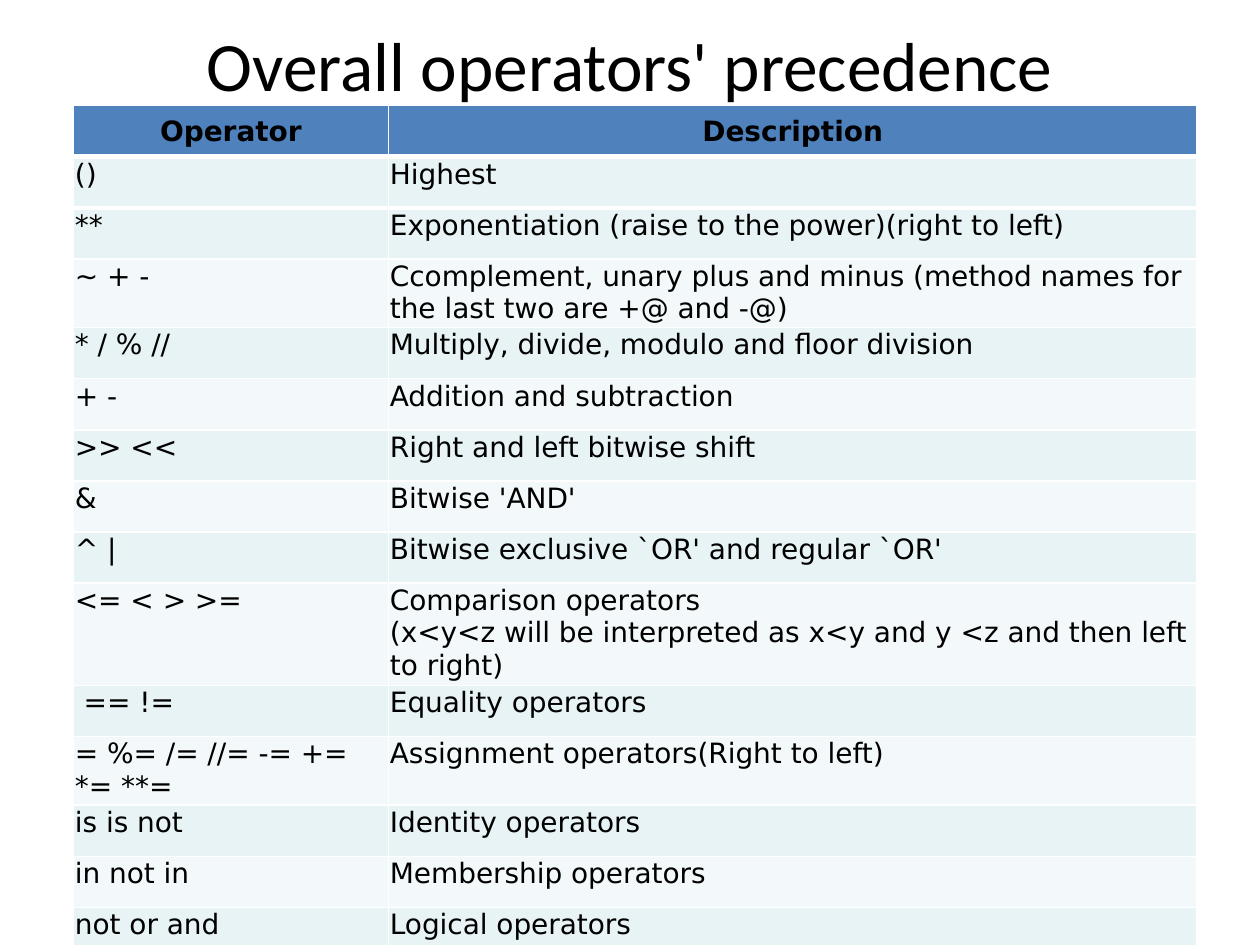
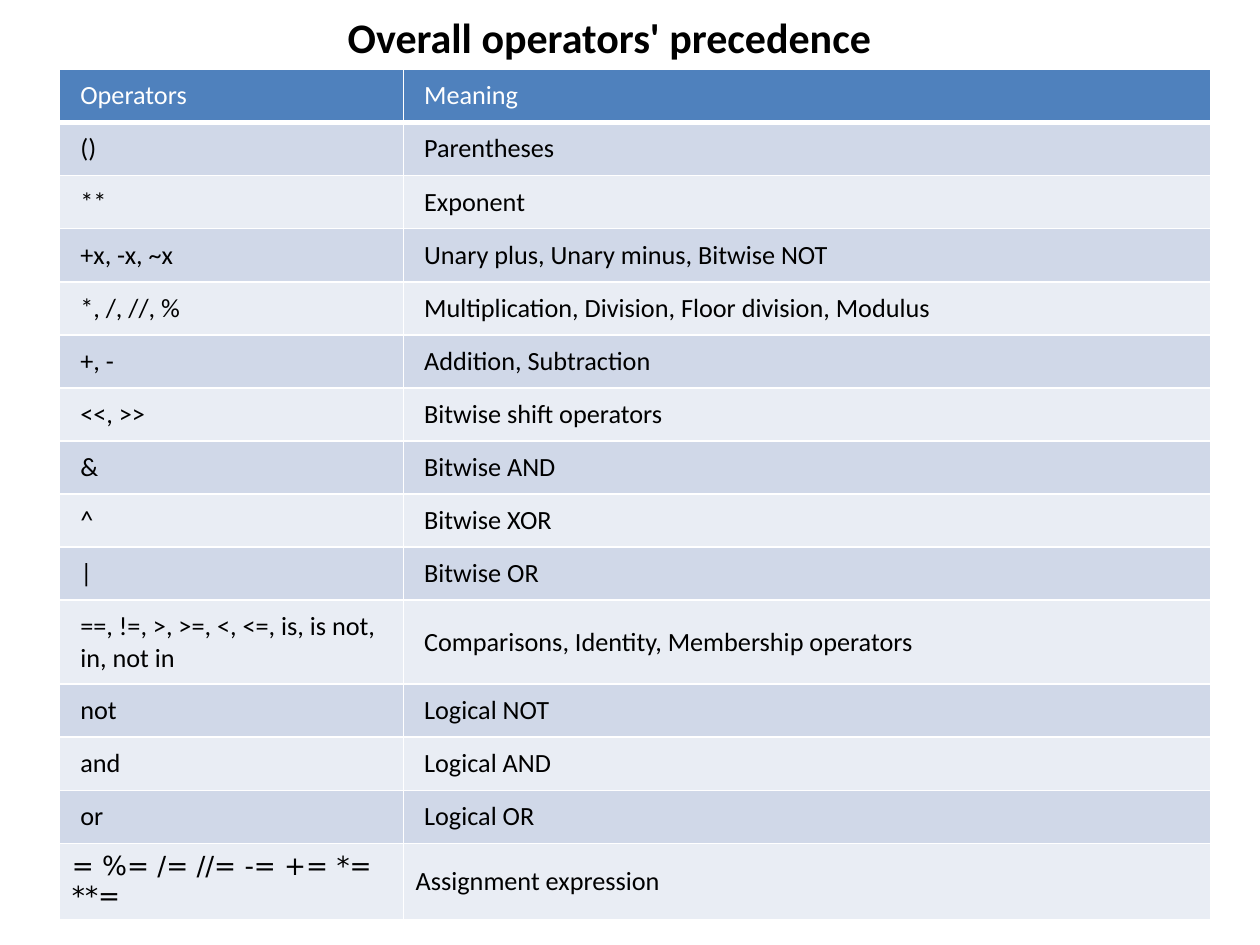
from dataclasses import dataclass, replace

from lxml.etree import SubElement
from pptx import Presentation
from pptx.dml.color import RGBColor
from pptx.enum.text import MSO_ANCHOR as Anchor, PP_ALIGN as Align
from pptx.oxml.ns import qn
from pptx.slide import Slide
from pptx.table import _Cell as Cell
from pptx.text.text import TextFrame
from pptx.util import Cm, Pt

BLACK = RGBColor(0x00, 0x00, 0x00)
WHITE = RGBColor(0xFF, 0xFF, 0xFF)
HEADER_BLUE = RGBColor(0x4F, 0x81, 0xBD)
MINT = RGBColor(0xE7, 0xF3, 0xF4)
PALE_MINT = RGBColor(0xF3, 0xF9, 0xFA)
STEEL = RGBColor(0xD0, 0xD8, 0xE8)
PALE_STEEL = RGBColor(0xE9, 0xED, 0xF4)

CALIBRI = "Calibri"
DEJAVU = "DejaVu Sans"
TITLE = "Overall operators' precedence"
ASSIGNMENTS = "= %= /= //= -= += *= **="
THIN, THICK = Pt(1), Pt(3)


@dataclass(frozen=True)
class TextStyle:
    font: str
    size: float
    colour: RGBColor = BLACK
    bold: bool = False
    align: Align = Align.LEFT
    anchor: Anchor = Anchor.MIDDLE


@dataclass(frozen=True)
class Insets:
    """Cell margins in centimetres."""
    side: float
    top: float
    bottom: float


@dataclass(frozen=True)
class Box:
    """Place on the slide in centimetres."""
    left: float
    top: float
    width: float
    height: float


@dataclass(frozen=True)
class OperatorRow:
    operators: str
    meaning: str
    styles: tuple[TextStyle, TextStyle]
    insets: Insets


@dataclass(frozen=True)
class PrecedenceTable:
    """The leading rows end in a thick rule; banding starts after them."""
    left: float
    top: float
    column_widths: tuple[float, float]
    row_height: float
    bands: tuple[RGBColor, RGBColor]
    leading_rows: int
    rows: list[OperatorRow]


def write_text(frame: TextFrame, text: str, style: TextStyle) -> None:
    frame.word_wrap = True
    frame.vertical_anchor = style.anchor
    for index, line in enumerate(text.split("\n")):
        paragraph = frame.add_paragraph() if index else frame.paragraphs[0]
        paragraph.alignment = style.align
        run = paragraph.add_run()
        run.text = line
        run.font.name = style.font
        run.font.size = Pt(style.size)
        run.font.bold = style.bold
        run.font.color.rgb = style.colour


def add_title(slide: Slide, box: Box, style: TextStyle) -> None:
    title = slide.shapes.add_textbox(
        Cm(box.left), Cm(box.top), Cm(box.width), Cm(box.height))
    write_text(title.text_frame, TITLE, style)


def rule_cell(cell: Cell, top: int, bottom: int) -> None:
    """Draw white borders; the side ones are always thin."""
    properties = cell._tc.get_or_add_tcPr()
    widths = {"a:lnL": THIN, "a:lnR": THIN, "a:lnT": top, "a:lnB": bottom}
    for tag, width in widths.items():
        line = SubElement(properties, qn(tag), w=str(width))
        fill = SubElement(line, qn("a:solidFill"))
        SubElement(fill, qn("a:srgbClr"), val=str(WHITE))


def add_precedence_table(slide: Slide, spec: PrecedenceTable) -> None:
    table = slide.shapes.add_table(
        len(spec.rows), 2, Cm(spec.left), Cm(spec.top),
        Cm(sum(spec.column_widths)),
        Cm(spec.row_height * len(spec.rows))).table
    table.horz_banding = False
    for column, width in zip(table.columns, spec.column_widths):
        column.width = Cm(width)

    for index, row in enumerate(spec.rows):
        table.rows[index].height = Cm(spec.row_height)
        band = max(0, index - spec.leading_rows) % 2
        fill = spec.bands[band] if index else HEADER_BLUE
        top = THICK if 0 < index <= spec.leading_rows else THIN
        bottom = THICK if index < spec.leading_rows else THIN
        texts = (row.operators, row.meaning)
        for column, (text, style) in enumerate(zip(texts, row.styles)):
            cell = table.cell(index, column)
            rule_cell(cell, top, bottom)
            cell.fill.solid()
            cell.fill.fore_color.rgb = fill
            cell.margin_left = cell.margin_right = Cm(row.insets.side)
            cell.margin_top = Cm(row.insets.top)
            cell.margin_bottom = Cm(row.insets.bottom)
            write_text(cell.text_frame, text, style)
            cell.vertical_anchor = style.anchor


def operator_rows(pairs: list[tuple[str, str]], header: TextStyle,
                  body: TextStyle, insets: Insets) -> list[OperatorRow]:
    """Style the first pair as the header and the others as body rows."""
    return [OperatorRow(operators, meaning, (body if index else header,) * 2, insets)
            for index, (operators, meaning) in enumerate(pairs)]


DESCRIPTIONS = [
    ("Operator", "Description"),
    ("()", "Highest"),
    ("**", "Exponentiation (raise to the power)(right to left)"),
    ("~ + -", "Ccomplement, unary plus and minus "
              "(method names for the last two are +@ and -@)"),
    ("* / % //", "Multiply, divide, modulo and floor division"),
    ("+ -", "Addition and subtraction"),
    (">> <<", "Right and left bitwise shift"),
    ("&", "Bitwise 'AND'"),
    ("^ |", "Bitwise exclusive `OR' and regular `OR'"),
    ("<= < > >=", "Comparison operators\n"
                  "(x<y<z will be interpreted as x<y and y <z and then left to right)"),
    (" == !=", "Equality operators"),
    (ASSIGNMENTS, "Assignment operators(Right to left)"),
    ("is is not", "Identity operators"),
    ("in not in", "Membership operators"),
    ("not or and", "Logical operators"),
]

MEANINGS = [
    ("Operators", "Meaning"),
    ("()", "Parentheses"),
    ("**", "Exponent"),
    ("+x, -x, ~x", "Unary plus, Unary minus, Bitwise NOT"),
    ("*, /, //, %", "Multiplication, Division, Floor division, Modulus"),
    ("+, -", "Addition, Subtraction"),
    ("<<, >>", "Bitwise shift operators"),
    ("&", "Bitwise AND"),
    ("^", "Bitwise XOR"),
    ("|", "Bitwise OR"),
    ("==, !=, >, >=, <, <=, is, is not, in, not in",
     "Comparisons, Identity, Membership operators"),
    ("not", "Logical NOT"),
    ("and", "Logical AND"),
    ("or", "Logical OR"),
]


def build_description_slide(slide: Slide) -> None:
    add_title(slide, Box(1.27, 0.3, 22.86, 1.98),
              TextStyle(CALIBRI, 39.6, align=Align.CENTER))
    body = TextStyle(DEJAVU, 16, anchor=Anchor.TOP)
    header = replace(body, bold=True, align=Align.CENTER, anchor=Anchor.MIDDLE)
    rows = operator_rows(DESCRIPTIONS, header, body, Insets(0.03, 0.03, 0))
    add_precedence_table(slide, PrecedenceTable(
        1.48, 2.13, (6.35, 16.3), 1.03, (MINT, PALE_MINT), 2, rows))


def build_meaning_slide(slide: Slide) -> None:
    body = TextStyle(CALIBRI, 15)
    rows = operator_rows(MEANINGS, replace(body, colour=WHITE), body,
                         Insets(0.42, 0.21, 0.21))
    rows.append(OperatorRow(ASSIGNMENTS, "Assignment expression",
                            (replace(body, font=DEJAVU), body),
                            Insets(0.25, 0.13, 0.13)))
    add_precedence_table(slide, PrecedenceTable(
        1.2, 1.4, (6.93, 16.28), 1.07, (STEEL, PALE_STEEL), 1, rows))
    add_title(slide, Box(6.76, 0.1, 11.13, 1.27),
              TextStyle(CALIBRI, 24, bold=True, anchor=Anchor.TOP))


def main() -> None:
    deck = Presentation()
    deck.slide_width, deck.slide_height = Cm(25.4), Cm(19.05)
    blank = deck.slide_layouts[6]
    for build in (build_description_slide, build_meaning_slide):
        build(deck.slides.add_slide(blank))
    deck.save("out.pptx")


if __name__ == "__main__":
    main()
